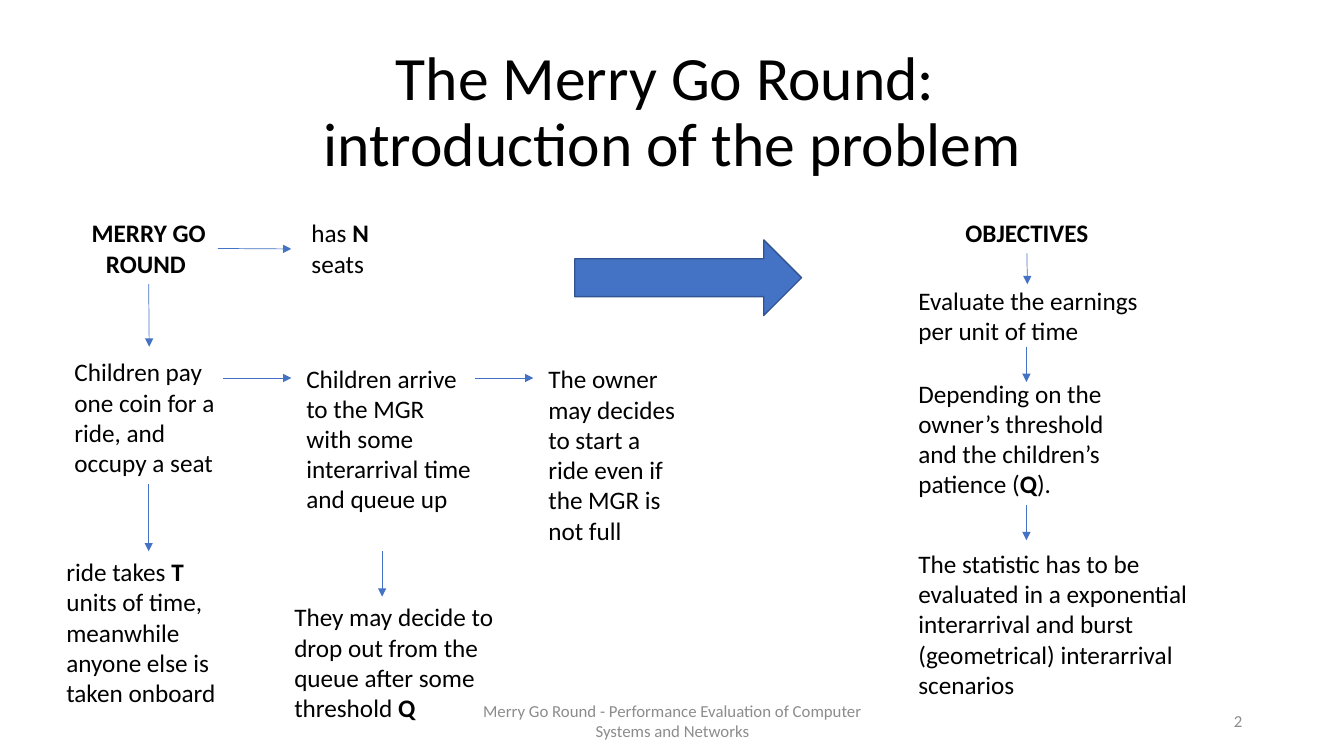
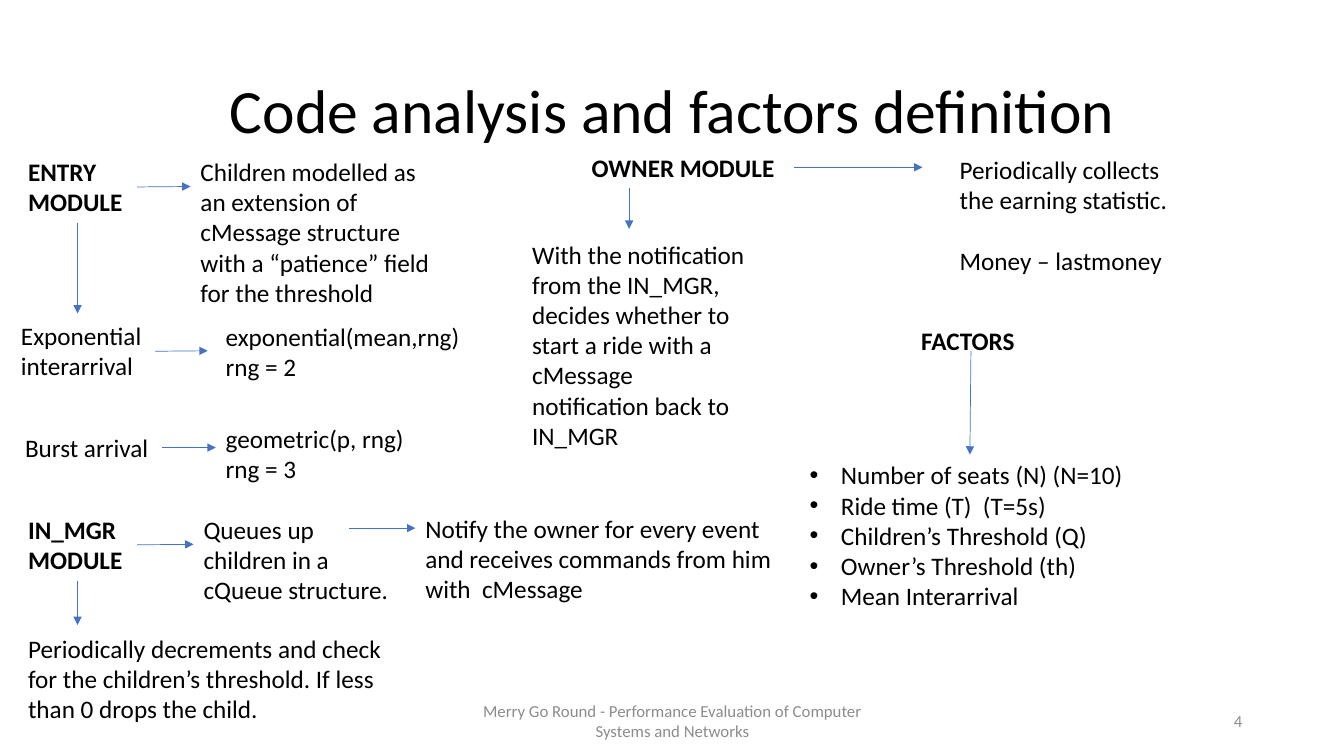
"""Build two slides on the merry go round problem and its code analysis."""
import pptx
import pptx.dml.color
import pptx.enum.shapes
import pptx.enum.text
import pptx.oxml
import pptx.oxml.ns
import pptx.util

Inches = pptx.util.Inches
Pt = pptx.util.Pt
Align = pptx.enum.text.PP_ALIGN
Anchor = pptx.enum.text.MSO_ANCHOR
Fit = pptx.enum.text.MSO_AUTO_SIZE
rgb = pptx.dml.color.RGBColor.from_string


class Theme:
    font = "Calibri"
    ink = rgb("000000")
    muted = rgb("8C8C8C")
    accent = rgb("4472C4")
    outline = rgb("325491")
    title_size = 44
    body_size = 18
    footer_size = 12
    arrow_width = 0.5


def write(box, text, size=Theme.body_size, color=Theme.ink, align=Align.LEFT,
          anchor=Anchor.TOP, fit=Fit.SHAPE_TO_FIT_TEXT, spacing=None, before=0):
    """Fill a box: newline splits paragraphs, \\v breaks a line, * toggles bold."""
    frame = box.text_frame
    frame.word_wrap = True
    frame.auto_size = fit
    frame.vertical_anchor = anchor
    for index, content in enumerate(text.split("\n")):
        para = frame.add_paragraph() if index else frame.paragraphs[0]
        para.alignment = align
        para.line_spacing = spacing
        para.space_before = Pt(before if index else 0)
        for order, piece in enumerate(content.split("*")):
            for row, words in enumerate(piece.split("\v")):
                if row:
                    para.add_line_break()
                if words:
                    span = para.add_run()
                    span.text = words
                    span.font.name = Theme.font
                    span.font.size = Pt(size)
                    span.font.color.rgb = color
                    span.font.bold = order % 2 == 1


def add_arrow(page, boxes, start, finish):
    """Draw an arrow whose ends are points, or a box name and a side to join."""
    joined = [isinstance(end[0], str) for end in (start, finish)]
    points = [(0, 0) if join else end for join, end in zip(joined, (start, finish))]
    arrow = page.shapes.add_connector(
        pptx.enum.shapes.MSO_CONNECTOR.STRAIGHT,
        *[Inches(value) for point in points for value in point])
    if joined[0]:
        arrow.begin_connect(boxes[start[0]], start[1])
    if joined[1]:
        arrow.end_connect(boxes[finish[0]], finish[1])
    arrow.line.color.rgb = Theme.accent
    arrow.line.width = Pt(Theme.arrow_width)
    namespace = pptx.oxml.ns.nsdecls("a")
    arrow.line._get_or_add_ln().append(
        pptx.oxml.parse_xml(f'<a:tailEnd {namespace} type="triangle"/>'))
    arrow._element.spPr.append(pptx.oxml.parse_xml(f"<a:effectLst {namespace}/>"))


TOP, LEFT, BOTTOM, RIGHT = range(4)
centered = {"align": Align.CENTER}

problem = {
    "number": "2",
    "layout": 5,
    "title": "The Merry Go Round: \vintroduction of the problem",
    "labels": {
        "ride": (0.79, 2.11, 1.37, 0.71, "*MERRY GO*\n*ROUND *", centered),
        "seats": (2.99, 2.11, 1.31, 0.71, "has *N *seats", {}),
        "payment": (0.64, 3.49, 1.67, 1.31,
                    "Children pay one coin for a ride, and occupy a seat", {}),
        "duration": (0.56, 5.47, 1.83, 1.62,
                     "ride takes *T *units of time, meanwhile anyone else is taken onboard", {}),
        "arrival": (2.94, 3.55, 1.83, 1.92,
                    "Children arrive to the MGR with some interarrival time and queue up", {}),
        "patience": (2.82, 5.92, 2.18, 1.31,
                     "They may decide to drop out from the queue after some threshold *Q*", {}),
        "owner": (5.34, 3.56, 1.55, 1.92,
                  "The owner may decides to start a ride even if the MGR is not full", {}),
        "objectives": (8.52, 2.11, 3.33, 0.4, "*OBJECTIVES*", centered),
        "earnings": (9.01, 2.78, 2.57, 1.01, "Evaluate the earnings per unit of time", {}),
        "threshold": (9.01, 3.7, 2.23, 1.31,
                      "Depending on the owner’s threshold and the children’s patience (*Q*).", {}),
        "scenarios": (9.01, 5.39, 3, 1.62,
                      "The statistic has to be evaluated in a exponential interarrival "
                      "and burst (geometrical) interarrival scenarios", {}),
    },
    "arrows": [
        (("ride", RIGHT), (2.89, 2.47)),
        (("ride", BOTTOM), (1.48, 3.44)),
        (("payment", BOTTOM), ("duration", TOP)),
        ((2.21, 3.75), (2.89, 3.75)),
        ((3.79, 5.47), (3.79, 5.92)),
        ((4.71, 3.75), (5.29, 3.75)),
        (("objectives", BOTTOM), (10.19, 2.82)),
        ((10.18, 3.44), (10.18, 3.79)),
        ((10.18, 5.01), (10.18, 5.36)),
    ],
}

analysis = {
    "number": "4",
    "layout": 1,
    "title": "Code analysis and factors definition",
    "labels": {
        "entry": (0.18, 1.5, 1.18, 0.71, "*ENTRY MODULE*", {}),
        "children": (1.89, 1.5, 2.53, 1.62,
                     "Children modelled as an extension of cMessage structure "
                     "with a “patience” field for the threshold", {}),
        "manager": (0.18, 5.05, 1.18, 0.71, "*IN_MGR MODULE*", {}),
        "queue": (1.92, 5.05, 2.11, 1.01, "Queues up children in a cQueue structure.", {}),
        "exponential": (0.11, 3.13, 1.43, 0.71, "Exponential interarrival", {}),
        "burst": (0.15, 4.24, 1.46, 0.4, "Burst arrival", {}),
        "exponential call": (2.14, 3.14, 2.63, 0.71, "exponential(mean,rng)\nrng = 2", {}),
        "geometric call": (2.14, 4.15, 2.37, 0.71, "geometric(p, rng)\nrng = 3", {}),
        "decrement": (0.18, 6.23, 3.85, 1.01,
                      "Periodically decrements and check for the children’s threshold. "
                      "If less than 0 drops the child.", {}),
        "notify": (4.12, 5.04, 3.8, 1.01,
                   "Notify the owner for every event and receives commands "
                   "from him with  cMessage", {}),
        "owner": (5.77, 1.46, 2.16, 0.4, "*OWNER MODULE*", {}),
        "decision": (5.18, 2.32, 2.33, 2.22,
                     "With the notification from the IN_MGR, decides whether to start "
                     "a ride with a cMessage notification back to IN_MGR", {}),
        "statistic": (9.42, 1.48, 2.33, 1.31,
                      "Periodically collects the earning statistic.\nMoney – lastmoney",
                      {"before": 21.6}),
        "factors": (7.82, 3.18, 3.56, 0.4, "*FACTORS*", centered),
    },
    "list": (7.93, 4.51, 3.38, 1.62,
             "Number of seats (N) (N=10)\nRide time (T)  (T=5s)\nChildren’s Threshold (Q)\n"
             "Owner’s Threshold (th)\nMean Interarrival"),
    "arrows": [
        (("entry", RIGHT), (1.89, 1.85)),
        (("manager", RIGHT), (1.92, 5.4)),
        (("entry", BOTTOM), (0.77, 3.11)),
        (("exponential", RIGHT), (2.06, 3.48)),
        (("burst", RIGHT), (2.14, 4.44)),
        (("manager", BOTTOM), (0.77, 6.2)),
        ((3.46, 5.24), (4.12, 5.24)),
        ((6.24, 1.87), (6.24, 2.27)),
        ((9.63, 3.48), ("list", TOP)),
        ((7.88, 1.66), (9.15, 1.66)),
    ],
}

deck = pptx.Presentation()
deck.slide_width = Inches(13.33)
deck.slide_height = Inches(7.5)

for content in (problem, analysis):
    page = deck.slides.add_slide(deck.slide_layouts[content["layout"]])
    title = page.shapes.title
    title.left, title.top, title.width, title.height = map(Inches, (0.92, 0.4, 11.5, 1.45))
    write(title, content["title"], size=Theme.title_size, align=Align.CENTER,
          anchor=Anchor.MIDDLE, fit=Fit.NONE, spacing=0.9)

    for left, width, text, align in (
            (9.42, 3, content["number"], Align.RIGHT),
            (4.42, 4.5, "Merry Go Round - Performance Evaluation of Computer "
                        "Systems and Networks", Align.CENTER)):
        footer = page.shapes.add_textbox(*map(Inches, (left, 6.95, width, 0.4)))
        write(footer, text, size=Theme.footer_size, color=Theme.muted, align=align,
              anchor=Anchor.MIDDLE, fit=Fit.NONE)

    boxes = {}
    for name, (left, top, width, height, text, style) in content["labels"].items():
        boxes[name] = page.shapes.add_textbox(*map(Inches, (left, top, width, height)))
        write(boxes[name], text, **style)

    if "list" in content:
        *frame, text = content["list"]
        bullets = boxes["list"] = page.placeholders[1]
        bullets.left, bullets.top, bullets.width, bullets.height = map(Inches, frame)
        write(bullets, text)
        for para in bullets.text_frame.paragraphs:
            properties = para._p.get_or_add_pPr()
            properties.set("marL", str(Inches(0.31)))
            properties.set("indent", str(-Inches(0.31)))

    for start, finish in content["arrows"]:
        add_arrow(page, boxes, start, finish)

    if content is problem:
        transition = page.shapes.add_shape(pptx.enum.shapes.MSO_SHAPE.RIGHT_ARROW,
                                           *map(Inches, (5.7, 2.38, 2.25, 0.75)))
        transition.shadow.inherit = False
        transition.fill.solid()
        transition.fill.fore_color.rgb = Theme.accent
        transition.line.color.rgb = Theme.outline
        transition.line.width = Pt(1)

deck.save("out.pptx")
